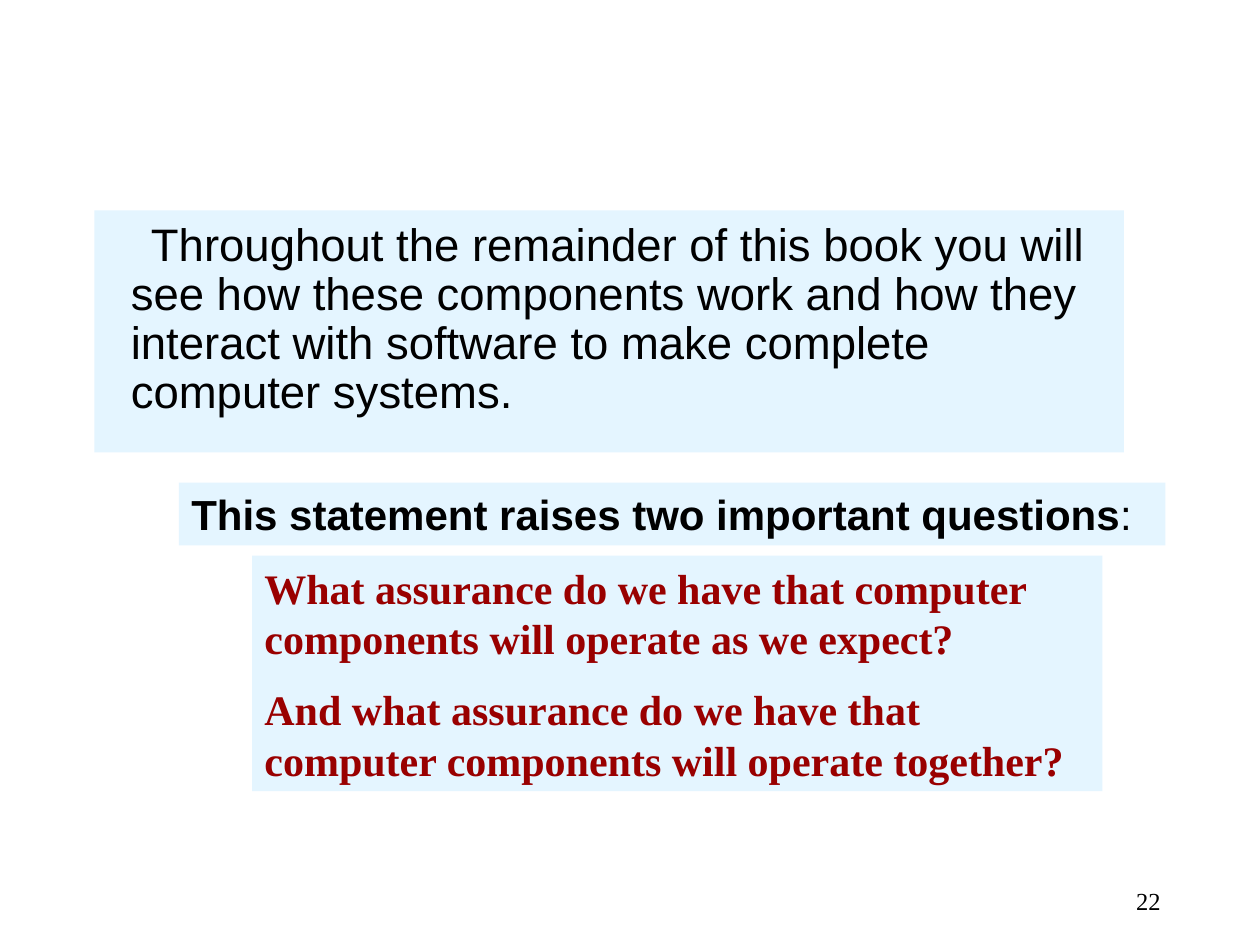
from pptx import Presentation
from pptx.dml.color import RGBColor
from pptx.enum.shapes import MSO_SHAPE as Shape
from pptx.enum.text import MSO_ANCHOR as Anchor, MSO_AUTO_SIZE as AutoSize, PP_ALIGN as Align
from pptx.util import Inches, Pt

PALE_BLUE = RGBColor(0xE4, 0xF5, 0xFF)
BLACK = RGBColor(0, 0, 0)
DARK_RED = RGBColor(0x99, 0, 0)

BODY = dict(name="Arial", size=Pt(26), bold=False)
LEAD = dict(name="Arial", size=Pt(24), bold=True)
QUESTION = dict(name="Times New Roman", size=Pt(24), bold=True)
NUMBER = dict(name="Times New Roman", size=Pt(14), bold=False)


def set_all(target, values):
    for name, value in values.items():
        setattr(target, name, value)


def add_span(para, text, font, color):
    span = para.add_run()
    span.text = text
    set_all(span.font, font)
    span.font.color.rgb = color


def add_panel(page, box, **frame_values):
    panel = page.shapes.add_shape(Shape.RECTANGLE, *map(Inches, box))
    panel.shadow.inherit = False
    panel.fill.solid()
    panel.fill.fore_color.rgb = PALE_BLUE
    panel.line.fill.background()
    set_all(panel.text_frame, dict(word_wrap=True, **frame_values))
    return panel.text_frame


def add_statement(page, box):
    frame = add_panel(page, box, vertical_anchor=Anchor.TOP, margin_top=Inches(0.09))
    para = frame.paragraphs[0]
    set_all(para, dict(alignment=Align.LEFT, line_spacing=0.9, space_before=Pt(13)))
    properties = para._p.get_or_add_pPr()
    properties.set("marL", str(Inches(0.19)))
    properties.set("indent", str(Inches(0.16)))
    add_span(para, "Throughout the remainder of this book you will see how these "
             "components work and how they interact with software to make complete "
             "computer systems.", BODY, BLACK)


def add_block(page, box, paragraphs, color):
    frame = add_panel(page, box, vertical_anchor=Anchor.MIDDLE,
                      auto_size=AutoSize.SHAPE_TO_FIT_TEXT)
    for index, spans in enumerate(paragraphs):
        para = frame.add_paragraph() if index else frame.paragraphs[0]
        set_all(para, dict(alignment=Align.LEFT, space_before=Pt(12)))
        for text, font in spans:
            add_span(para, text, font, color)


def add_page_number(page, box, number):
    frame = page.shapes.add_textbox(*map(Inches, box)).text_frame
    set_all(frame, dict(word_wrap=True, vertical_anchor=Anchor.MIDDLE))
    para = frame.paragraphs[0]
    para.alignment = Align.RIGHT
    add_span(para, number, NUMBER, BLACK)


def main():
    deck = Presentation()
    deck.slide_width, deck.slide_height = Inches(10), Inches(7.5)
    page = deck.slides.add_slide(deck.slide_layouts[6])
    add_statement(page, (0.75, 1.67, 8.17, 1.92))
    add_page_number(page, (7.06, 6.95, 2.25, 0.4), "22")
    add_block(page, (1.42, 3.83, 7.83, 0.5), [
        [("This statement raises two important questions", LEAD),
         (":", dict(LEAD, bold=False))],
    ], BLACK)
    add_block(page, (2, 4.41, 6.75, 1.87), [
        [("What assurance do we have that computer components will operate "
          "as we expect?", QUESTION)],
        [("And what assurance do we have that computer components will operate "
          "together?", QUESTION)],
    ], DARK_RED)
    deck.save("out.pptx")


if __name__ == "__main__":
    main()
